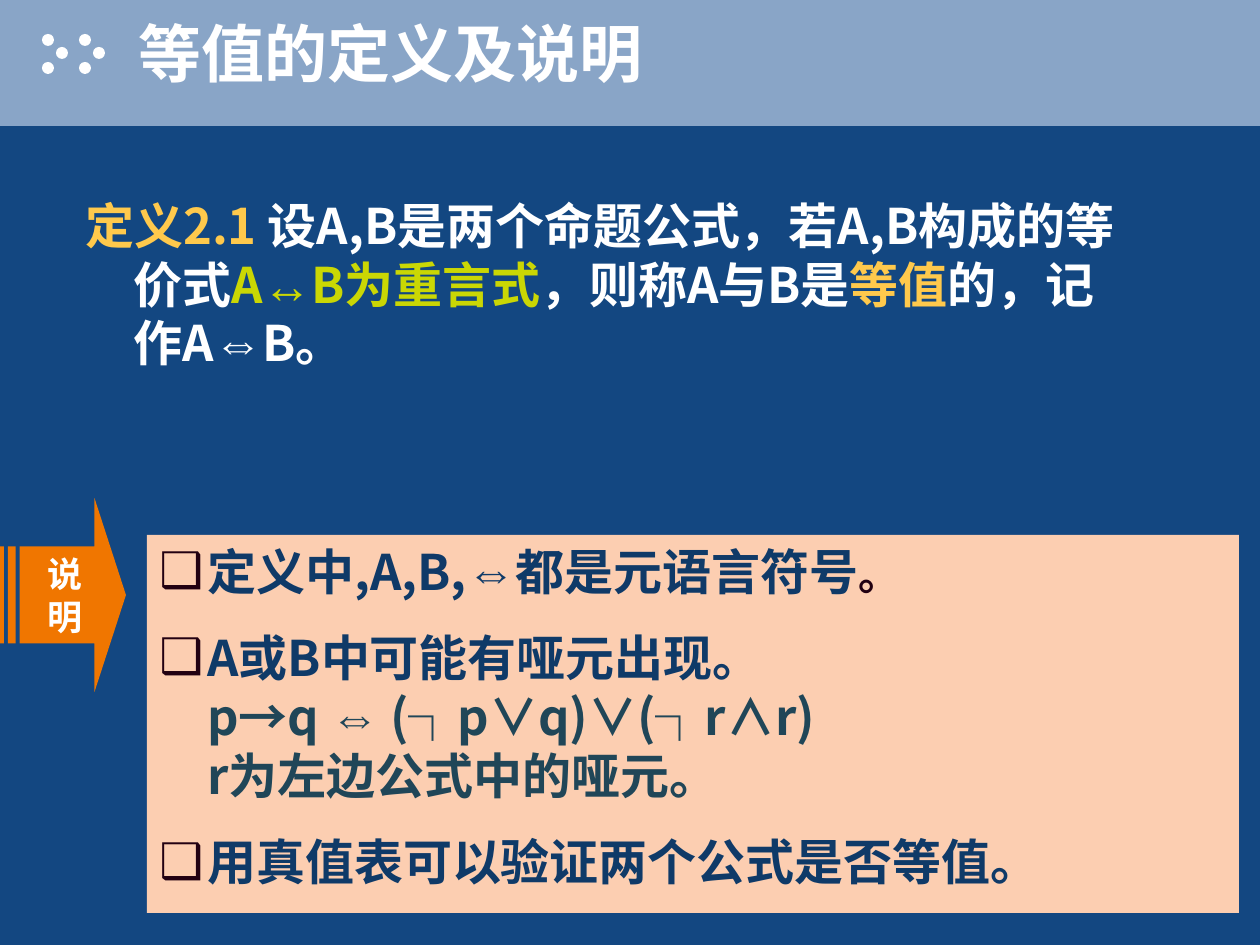
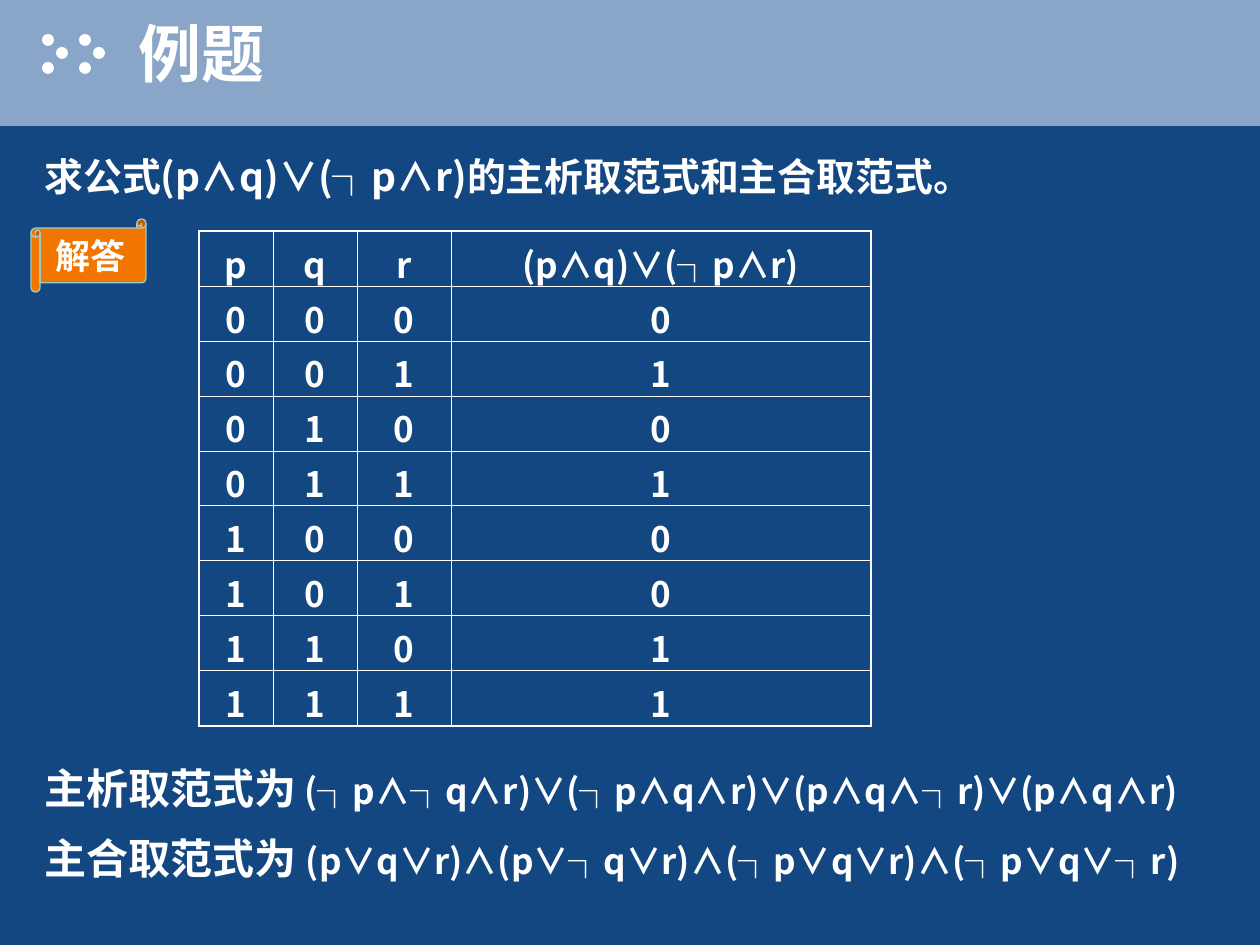
import pptx
import pptx.util
import pptx.dml.color
import pptx.enum.shapes
import pptx.enum.text
import pptx.oxml
import pptx.oxml.ns

RGB = pptx.dml.color.RGBColor
MSO = pptx.enum.shapes.MSO_SHAPE
ALIGN = pptx.enum.text.PP_ALIGN
ANCHOR = pptx.enum.text.MSO_ANCHOR
Pt = pptx.util.Pt
qn = pptx.oxml.ns.qn
NS = pptx.oxml.ns.nsdecls("a")

NAVY = RGB(0x13, 0x47, 0x81)
BAND = RGB(0x89, 0xA5, 0xC7)
WHITE = RGB(0xFF, 0xFF, 0xFF)
ORANGE = RGB(0xF0, 0x76, 0x00)
PEACH = RGB(0xFC, 0xCE, 0xB1)
AQUA = RGB(0x99, 0xCC, 0xCC)
GOLD = RGB(0xFF, 0xC9, 0x4C)
LIME = RGB(0xCA, 0xD7, 0x04)
INK = RGB(0x0F, 0x3A, 0x68)
TEAL = RGB(0x20, 0x46, 0x58)
DARK = RGB(0x22, 0x00, 0x11)

CJK = "Noto Sans CJK SC"
ARIAL = "Arial"
PX = 914400 / 126
HANG = 48


def add_box(shapes, kind, x, y, w, h, fill=None):
    """Add a preset shape, or a text box when kind is None; lengths in px."""
    box = [round(v * PX) for v in (x, y, w, h)]
    if kind is None:
        sp = shapes.add_textbox(*box)
    else:
        sp = shapes.add_shape(kind, *box)
        sp.shadow.inherit = False
        sp.fill.solid()
        sp.fill.fore_color.rgb = fill
        sp.line.fill.background()
    sp.text_frame.word_wrap = True
    return sp


def write(tf, paras, size, color=WHITE, align=ALIGN.LEFT, hang=0, bullet=None, anchor=ANCHOR.TOP):
    """Fill a frame; paras holds (space before, [(text, format values)])."""
    tf.vertical_anchor = anchor
    for i, (before, runs) in enumerate(paras):
        p = tf.paragraphs[0] if i == 0 else tf.add_paragraph()
        p.alignment = align
        p.space_before = Pt(before)
        pPr = p._p.get_or_add_pPr()
        if hang:
            pPr.set("marL", str(round(hang * PX)))
            pPr.set("indent", str(-round(hang * PX)))
        if bullet:
            for xml in (f'<a:buClr {NS}><a:srgbClr val="{DARK}"/></a:buClr>',
                        f'<a:buFont {NS} typeface="{ARIAL}"/>',
                        f'<a:buChar {NS} char="{bullet}"/>'):
                pPr.append(pptx.oxml.parse_xml(xml))
        for text, fmt in runs:
            for n, line in enumerate(text.split("\n")):
                if n:
                    p.add_line_break()
                if not line:
                    continue
                r = p.add_run()
                r.text = line
                f = {"name": CJK, "size": Pt(size), "bold": True, "color": color, **fmt}
                r.font.color.rgb = f.pop("color")
                for key, value in f.items():
                    setattr(r.font, key, value)
                for tag in ("ea", "cs"):
                    r._r.get_or_add_rPr().append(pptx.oxml.parse_xml(
                        f'<a:{tag} {NS} typeface="{f["name"]}"/>'))


prs = pptx.Presentation()
prs.slide_width, prs.slide_height = round(1260 * PX), round(945 * PX)

# Shared background, band, dots and title
slides = []
for title in ("等值的定义及说明", "例题"):
    s = prs.slides.add_slide(prs.slide_layouts[6])
    s.background.fill.solid()
    s.background.fill.fore_color.rgb = NAVY
    add_box(s.shapes, MSO.RECTANGLE, 0, 0, 1260, 126, BAND)
    dots = s.shapes.add_group_shape()
    for left in (42, 79):
        for dx, y in ((0, 34), (14, 47), (0, 62)):
            add_box(dots.shapes, MSO.OVAL, left + dx, y, 12, 12, WHITE)
    tf = add_box(s.shapes, None, 126, 0, 1134, 105).text_frame
    write(tf, [(0, [(title, {})])], 36, anchor=ANCHOR.MIDDLE)
    rPr = tf.paragraphs[0].runs[0]._r.rPr
    rPr.find(qn("a:solidFill")).addnext(pptx.oxml.parse_xml(
        f'<a:effectLst {NS}><a:outerShdw dist="35921" dir="2700000">'
        f'<a:srgbClr val="{DARK}"/></a:outerShdw></a:effectLst>'))
    slides.append(s)

# Slide 1: definition
s = slides[0]
sp = add_box(s.shapes, None, 73, 189, 1081, 231)
write(sp.text_frame, [(13.5, [
    ("定义2.1 ", {"color": GOLD}),
    ("设A,B是两个命题公式，若A,B构成的等价式", {}),
    ("A", {"color": LIME}),
    ("↔", {"color": LIME, "name": ARIAL}),
    ("B为重言式", {"color": LIME}),
    ("，则称A与B是", {}),
    ("等值", {"color": GOLD}),
    ("的，记作A", {}),
    ("⇔", {"name": ARIAL}),
    ("B。", {}),
])], 28, hang=HANG)

# Arrow label
sp = add_box(s.shapes, MSO.STRIPED_RIGHT_ARROW, 0, 498, 126, 194, ORANGE)
sp.adjustments[0], sp.adjustments[1] = 0.5, 0.25
write(sp.text_frame, [(11.2, [("说明", {"name": ARIAL})])], 20,
      align=ALIGN.CENTER, anchor=ANCHOR.MIDDLE)

# Remarks
sp = add_box(s.shapes, MSO.RECTANGLE, 147, 535, 1092, 378, PEACH)
write(sp.text_frame, [
    (13.5, [("定义中,A,B,", {}),
            ("⇔", {"name": ARIAL}),
            ("都是元语言符号", {}),
            ("。", {"size": Pt(24), "color": DARK})]),
    (15.8, [("A或B中可能有哑元出现。\n", {}),
            ("p→q ", {"color": TEAL}),
            ("⇔", {"color": TEAL, "name": ARIAL}),
            (" (┐p∨q)∨(┐r∧r)\nr为左边公式中的哑元。", {"color": TEAL})]),
    (15.8, [("用真值表可以验证两个公式是否等值。", {})]),
], 28, INK, hang=HANG, bullet="❑")

# Slide 2: question and answer label
s = slides[1]
sp = add_box(s.shapes, None, 32, 147, 1228, 63)
write(sp.text_frame, [(13.5, [("求公式(p∧q)∨(┐p∧r)的主析取范式和主合取范式。", {})])],
      22.2, hang=HANG)
sp = add_box(s.shapes, MSO.HORIZONTAL_SCROLL, 31, 219, 115, 73, ORANGE)
sp.line.color.rgb = AQUA
sp.line.width = Pt(0.75)
write(sp.text_frame, [(11.2, [("解答", {"name": ARIAL})])], 20,
      align=ALIGN.CENTER, hang=HANG, anchor=ANCHOR.MIDDLE)

# Truth table
head = ["p", "q", "r", "(p∧q)∨(┐p∧r)"]
rows = [head]
for n in range(8):
    p, q, r = n >> 2, n >> 1 & 1, n & 1
    rows.append([str(v) for v in (p, q, r, p & q | (1 - p) & r)])
widths = [74, 84, 94, 420]
row_h = 55
gf = s.shapes.add_table(len(rows), len(head), round(199 * PX), round(231 * PX),
                        round(sum(widths) * PX), round(row_h * len(rows) * PX))
tbl = gf.table
tbl.first_row = tbl.horz_banding = False
for col, w in zip(tbl.columns, widths):
    col.width = round(w * PX)
for i, values in enumerate(rows):
    tbl.rows[i].height = round(row_h * PX)
    for j, value in enumerate(values):
        cell = tbl.cell(i, j)
        write(cell.text_frame, [(11.2, [(value, {})])], 20, align=ALIGN.CENTER)
        tcPr = cell._tc.get_or_add_tcPr()
        outer = {"L": j == 0, "R": j == len(head) - 1, "T": i == 0, "B": i == len(rows) - 1}
        for side, is_edge in outer.items():
            width = Pt(1.08 if is_edge else 0.45)
            tcPr.append(pptx.oxml.parse_xml(
                f'<a:ln{side} {NS} w="{width}"><a:solidFill><a:srgbClr val="{WHITE}"/>'
                f'</a:solidFill></a:ln{side}>'))
        cell.fill.background()

# Normal forms
sp = add_box(s.shapes, None, 32, 756, 1228, 158)
small = {"size": Pt(20)}
write(sp.text_frame, [
    (13.5, [("主析取范式为", {}),
            (" (┐p∧┐q∧r)∨(┐p∧q∧r)∨(p∧q∧┐r)∨(p∧q∧r)", small)]),
    (11.2, [("主合取范式为 ", {}),
            ("(p∨q∨r)∧(p∨┐q∨r)∧(┐p∨q∨r)∧(┐p∨q∨┐r)", small)]),
], 24, hang=HANG)

prs.save("out.pptx")
